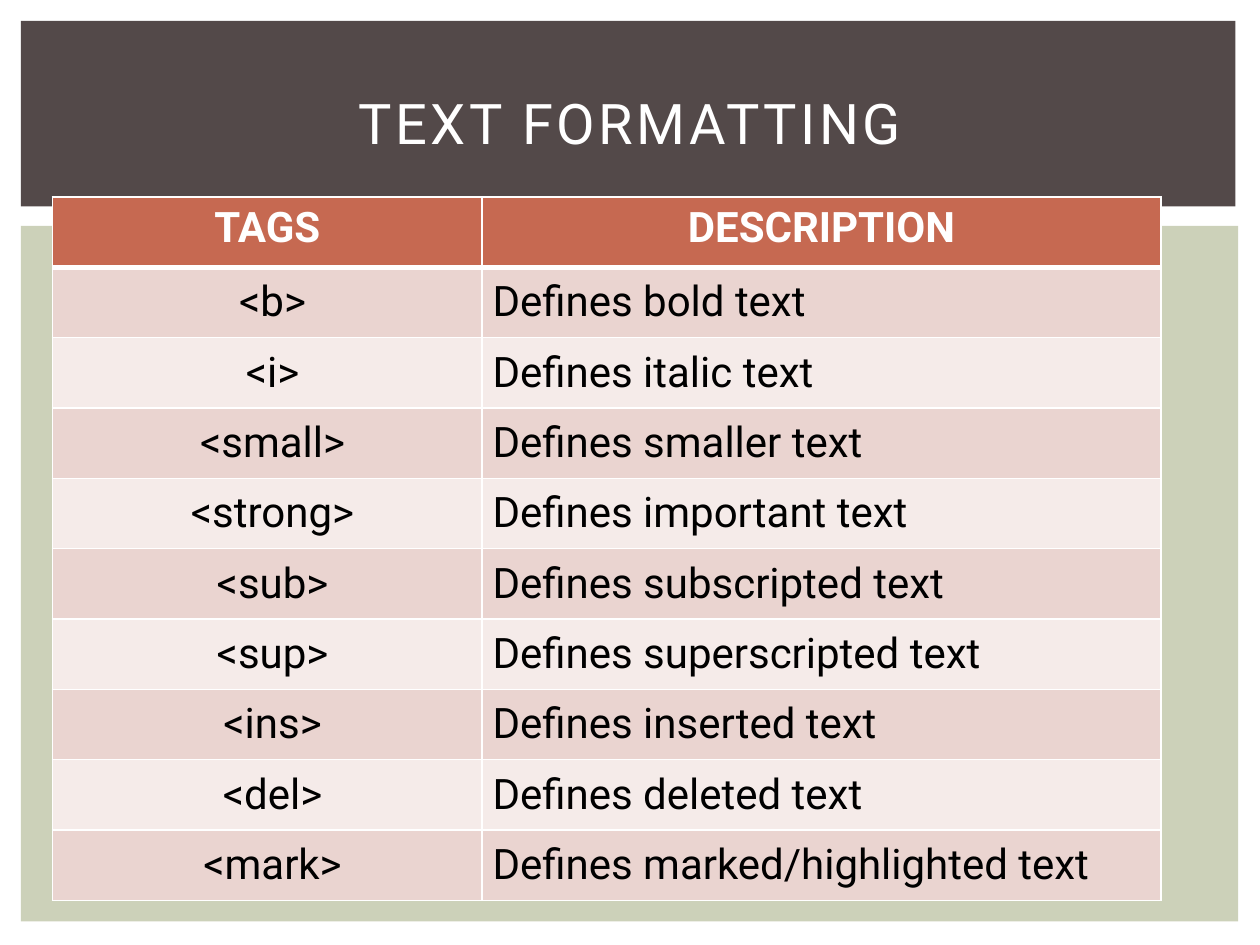
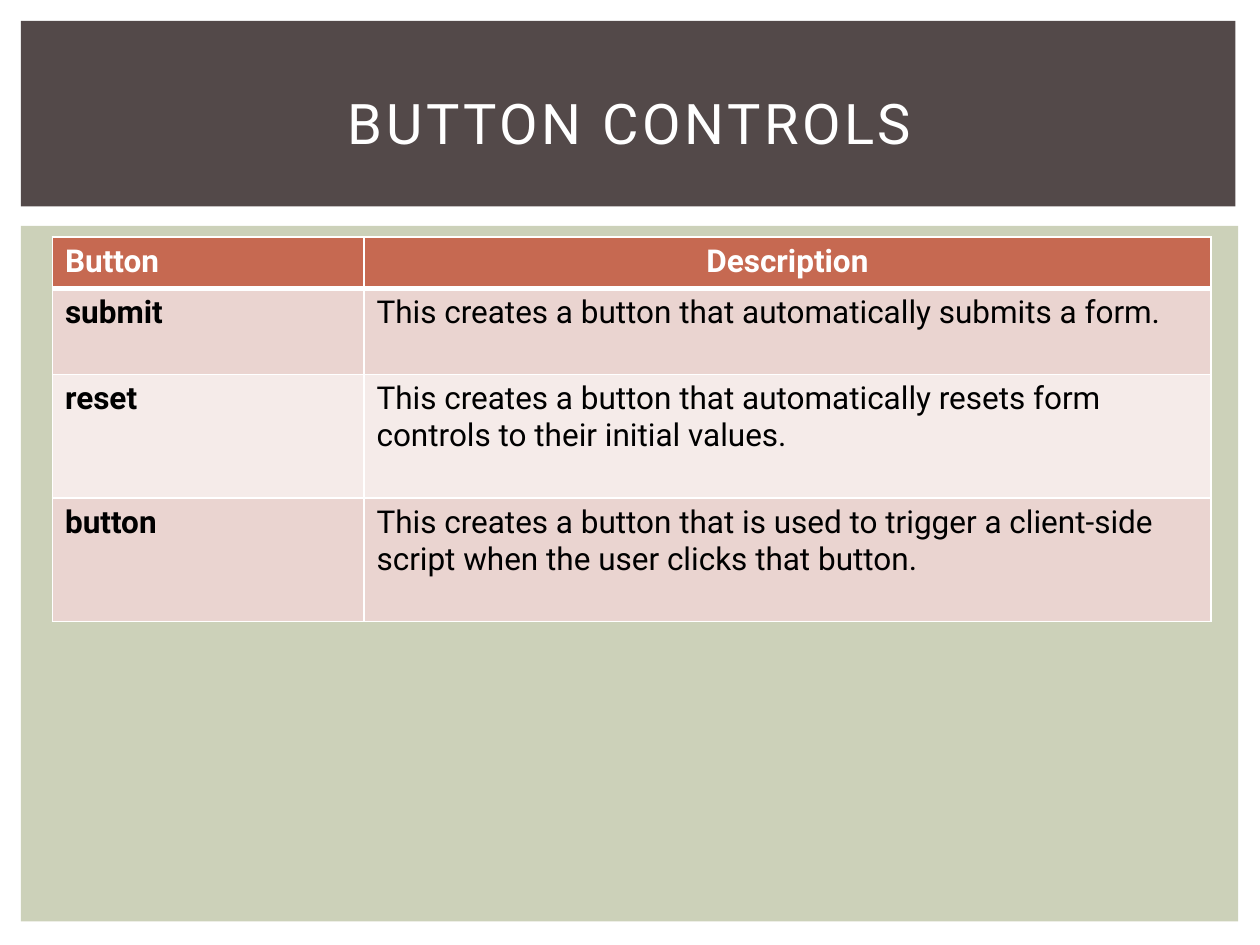
"""Build two slides of tables about HTML tags and buttons."""
from dataclasses import dataclass

from lxml import etree
from pptx import Presentation
from pptx.dml.color import RGBColor
from pptx.enum import shapes, text
from pptx.oxml import ns
from pptx.util import Pt

LEFT, MID = text.PP_ALIGN.LEFT, text.PP_ALIGN.CENTER


@dataclass(frozen=True)
class Theme:
    """Colours, font and type sizes of the deck."""
    font: str = "Roboto"
    band: str = "534949"
    panel: str = "CCD1B9"
    head: str = "C66951"
    rows: tuple = ("EAD4D0", "F5EBE9")
    light: str = "FFFFFF"
    dark: str = "000000"
    title: int = 32
    large: int = 24
    small: int = 18


class Deck:
    """Holds the style and the current slide."""

    def __init__(self, theme):
        """Start a 10 by 7.5 inch deck on the title-only layout."""
        self.theme = theme
        self.prs = Presentation()
        self.prs.slide_width, self.prs.slide_height = Pt(720), Pt(540)
        self.layout = self.prs.slide_layouts[5]
        for item in list(self.layout.placeholders)[1:]:
            item.element.getparent().remove(item.element)
        self.slide = None

    def style(self, para, size, color, bold=False, align=LEFT):
        """Set the font and alignment of a paragraph."""
        para.alignment = align
        font = para.font
        font.name, font.size, font.bold = self.theme.font, Pt(size), bold
        font.color.rgb = RGBColor.from_string(color)

    def rect(self, x, y, w, h, color):
        """Add a plain filled rectangle."""
        box = self.slide.shapes.add_shape(
            shapes.MSO_SHAPE.RECTANGLE, Pt(x), Pt(y), Pt(w), Pt(h))
        box.shadow.inherit = False
        box.fill.solid()
        box.fill.fore_color.rgb = RGBColor.from_string(color)
        box.line.fill.background()
        return box

    def bands(self):
        """Put the title band and the panel on the shared layout."""
        pair = (self.rect(12, 129, 695.5, 397.5, self.theme.panel),
                self.rect(12, 12, 694, 106, self.theme.band))
        for spot, box in enumerate(pair, 2):
            self.layout.shapes.element.insert(spot, box.element)

    def page(self, name):
        """Start a slide with its title."""
        first = self.slide is None
        self.slide = self.prs.slides.add_slide(self.layout)
        if first:
            self.bands()
        title = self.slide.shapes.title
        title.left, title.top = Pt(30), Pt(28)
        title.width, title.height = Pt(660), Pt(83)
        frame = title.text_frame
        frame.text = name
        frame.word_wrap = True
        frame.auto_size = text.MSO_AUTO_SIZE.NONE
        frame.vertical_anchor = text.MSO_ANCHOR.MIDDLE
        para = frame.paragraphs[0]
        self.style(para, self.theme.title, self.theme.light, align=MID)
        para.runs[0].font._element.set("spc", "200")

    def edges(self, cell, top, base):
        """Draw the four borders of a cell."""
        props = cell._tc.get_or_add_tcPr()
        for side, width in zip("LRTB", (1, 1, top, base)):
            line = etree.SubElement(
                props, ns.qn("a:ln" + side), w=str(Pt(width)))
            fill = etree.SubElement(line, ns.qn("a:solidFill"))
            etree.SubElement(
                fill, ns.qn("a:srgbClr"), val=self.theme.light)

    def table(self, y, cols, rows, data, size, aligns, heads,
              bold=False, pads=None):
        """Add a banded table; bold marks its first column.

        pads gives the left inset of each column in body rows,
        whose other insets are then 6 points.
        """
        grid = self.slide.shapes.add_table(
            len(data), len(cols), Pt(30), Pt(y),
            Pt(sum(cols)), Pt(sum(rows))).table
        for col, width in zip(grid.columns, cols):
            col.width = Pt(width)
        for row, height in zip(grid.rows, rows):
            row.height = Pt(height)
        for r, words in enumerate(data):
            head = r == 0
            shade = self.theme.head if head else self.theme.rows[(r - 1) % 2]
            ink = self.theme.light if head else self.theme.dark
            for c, word in enumerate(words):
                cell = grid.cell(r, c)
                cell.text = word
                if pads and not head:
                    cell.margin_left = Pt(pads[c])
                    cell.margin_right = Pt(6)
                    cell.margin_top = cell.margin_bottom = Pt(6)
                self.edges(cell, 3 if r == 1 else 1, 3 if head else 1)
                cell.fill.solid()
                cell.fill.fore_color.rgb = RGBColor.from_string(shade)
                self.style(cell.text_frame.paragraphs[0], size, ink,
                           head or (bold and c == 0),
                           (heads if head else aligns)[c])


TAGS = [
    ("b", "bold"), ("i", "italic"), ("small", "smaller"),
    ("strong", "important"), ("sub", "subscripted"),
    ("sup", "superscripted"), ("ins", "inserted"), ("del", "deleted"),
    ("mark", "marked/highlighted"),
]
BUTTONS = [
    ("Button", "Description"),
    ("submit", "This creates a button that automatically submits a form."),
    ("reset", "This creates a button that automatically resets form "
              "controls to their initial values."),
    ("button", "This creates a button that is used to trigger a "
               "client-side script when the user clicks that button."),
]


def main():
    """Build and save both slides."""
    theme = Theme()
    deck = Deck(theme)

    deck.page("TEXT FORMATTING")
    tags = [("TAGS", "DESCRIPTION")]
    tags += [(f"<{tag}>", f"Defines {kind} text") for tag, kind in TAGS]
    deck.table(112.5, (245.5, 388), [40.2] * len(tags), tags, theme.large,
               aligns=(MID, LEFT), heads=(MID, MID), pads=(12, 6))

    deck.page("BUTTON CONTROLS")
    deck.table(135.5, (178, 484), (29.2, 49.2, 70.6, 70.6), BUTTONS,
               theme.small, aligns=(LEFT, LEFT), heads=(LEFT, MID),
               bold=True)

    deck.prs.save("out.pptx")


main()
